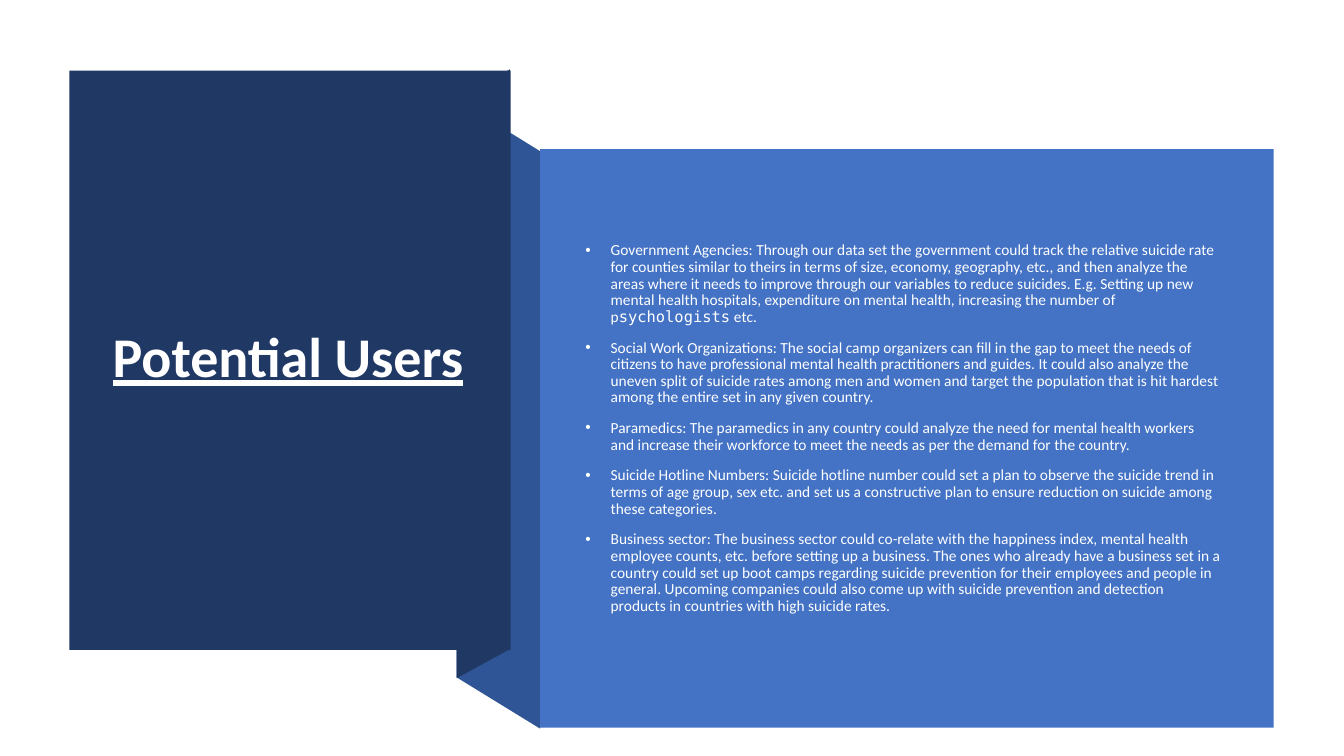
"""Build the slide on potential users of the data set."""
from lxml.etree import SubElement
from pptx import Presentation
from pptx.dml.color import RGBColor
from pptx.enum.shapes import MSO_SHAPE as Shape
from pptx.enum.text import MSO_ANCHOR as Anchor
from pptx.oxml.ns import qn
from pptx.util import Cm, Pt

NAVY = RGBColor(0x20, 0x38, 0x64)
STEEL = RGBColor(0x2F, 0x55, 0x97)
BLUE = RGBColor(0x44, 0x72, 0xC4)
WHITE = RGBColor(0xFF, 0xFF, 0xFF)
PALE = RGBColor(0xFE, 0xFF, 0xFF)
SANS = "Calibri"
MONO = "DejaVu Sans Mono"

USERS = [
    [("Government Agencies: Through our data set the government could track the relative suicide rate "
      "for counties similar to theirs in terms of size, economy, geography, etc., and then analyze the "
      "areas where it needs to improve through our variables to reduce suicides. E.g. Setting up new "
      "mental health hospitals, expenditure on mental health, increasing the number of p", SANS),
     ("sychologists", MONO),
     (" etc. ", SANS)],
    [("Social Work Organizations: The social camp organizers can fill in the gap to meet the needs of "
      "citizens to have professional mental health practitioners and guides. It could also analyze the "
      "uneven split of suicide rates among men and women and target the population that is hit hardest "
      "among the entire set in any given country.", SANS)],
    [("Paramedics: The paramedics in any country could analyze the need for mental health workers "
      "and increase their workforce to meet the needs as per the demand for the country.", SANS)],
    [("Suicide Hotline Numbers: Suicide hotline number could set a plan to observe the suicide trend in "
      "terms of age group, sex etc. and set us a constructive plan to ensure reduction on suicide among "
      "these categories. ", SANS)],
    [("Business sector: The business sector could co-relate with the happiness index, mental health "
      "employee counts, etc. before setting up a business. The ones who already have a business set in "
      "a country could set up boot camps regarding suicide prevention for their employees and people "
      "in general. Upcoming companies could also come up with suicide prevention and "
      "detection products in countries with high suicide rates.", SANS)],
]


class Page:
    def __init__(self, slide):
        self.shapes = slide.shapes

    def paint(self, shape, color):
        shape.shadow.inherit = False
        shape.fill.solid()
        shape.fill.fore_color.rgb = color
        shape.line.fill.background()

    def rect(self, box, color):
        self.paint(self.shapes.add_shape(Shape.RECTANGLE, *map(Cm, box)), color)

    def poly(self, points, color):
        first, *rest = [(Cm(x), Cm(y)) for x, y in points]
        form = self.shapes.build_freeform(*first, scale=1.0)
        form.add_line_segments(rest, close=True)
        self.paint(form.convert_to_shape(), color)

    def text(self, box, paras, size, color, head=False):
        frame = self.shapes.add_textbox(*map(Cm, box)).text_frame
        frame.word_wrap = True
        frame.vertical_anchor = Anchor.MIDDLE
        for num, runs in enumerate(paras):
            para = frame.add_paragraph() if num else frame.paragraphs[0]
            para.line_spacing = 0.9
            if not head:
                para.space_before = Pt(10)
                self.bullet(para)
            for words, face in runs:
                run = para.add_run()
                run.text = words
                font = run.font
                font.name, font.size = face, Pt(size)
                font.color.rgb = color
                font.bold = font.underline = head

    def bullet(self, para):
        props = para._p.get_or_add_pPr()
        indent = Cm(0.64)
        props.set("marL", str(indent))
        props.set("indent", str(-indent))
        SubElement(props, qn("a:buFont"), typeface="Arial")
        SubElement(props, qn("a:buChar"), char="•")


def main():
    deck = Presentation()
    deck.slide_width, deck.slide_height = Cm(33.87), Cm(19.05)
    page = Page(deck.slides.add_slide(deck.slide_layouts[6]))
    page.poly([(13.61, 18.36), (11.51, 17.07), (11.51, 2.51), (13.61, 3.81)], STEEL)
    page.poly([(12.85, 16.36), (11.51, 17.09), (11.51, 2.49), (12.85, 1.75)], NAVY)
    page.rect((1.75, 1.78, 11.12, 14.6), NAVY)
    page.text((2.59, 2.72, 9.42, 12.67), [[("Potential Users", SANS)]], 40, WHITE, head=True)
    page.rect((13.61, 3.76, 18.49, 14.58), BLUE)
    page.text((14.5, 4.78, 16.54, 12.04), USERS, 11, PALE)
    deck.save("out.pptx")


if __name__ == "__main__":
    main()
